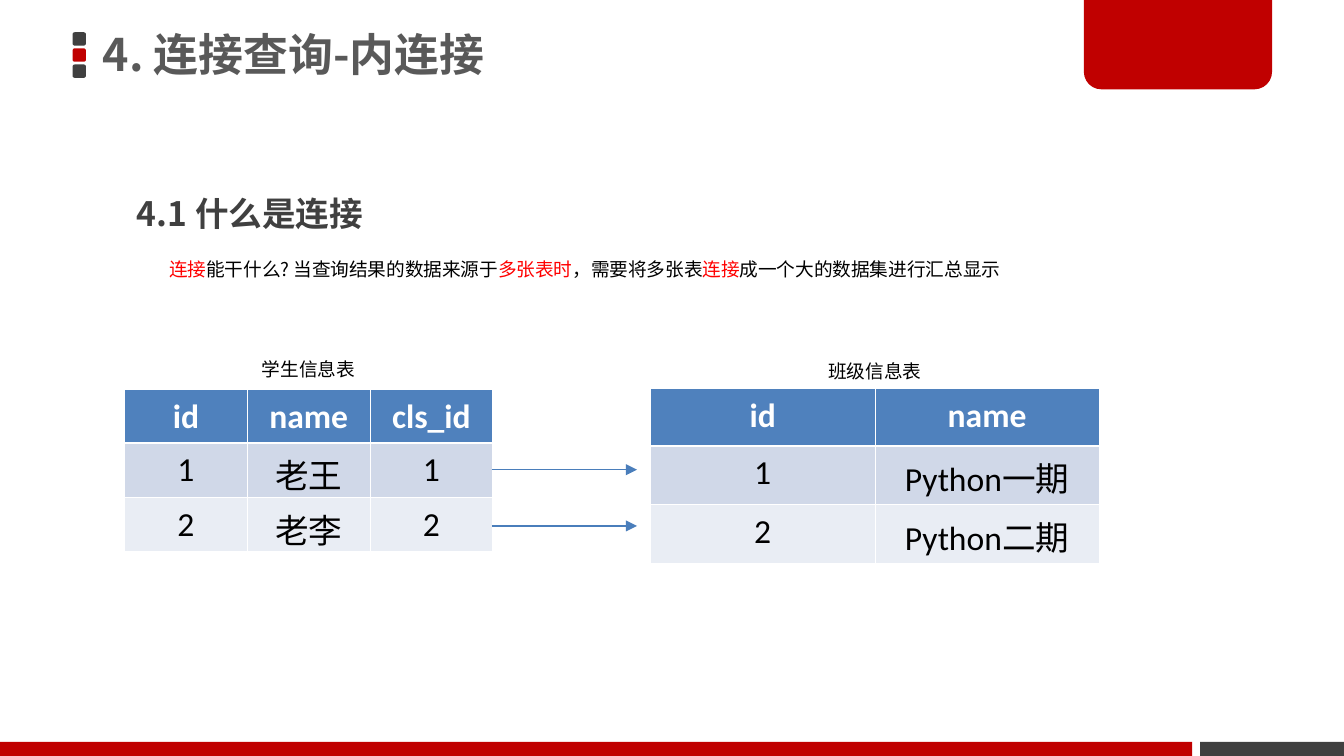
from dataclasses import dataclass

from lxml import etree
from pptx import Presentation
from pptx import util as u
from pptx.dml.color import RGBColor
from pptx.enum import shapes, text
from pptx.oxml import ns


@dataclass(frozen=True)
class Theme:
    red: str = "C00000"
    dark: str = "404040"
    title: str = "595959"
    highlight: str = "FF0000"
    black: str = "000000"
    white: str = "FFFFFF"
    header: str = "4F81BD"
    bands: tuple = ("D0D8E8", "E9EDF4")
    arrow: str = "4A7EBB"
    latin: str = "Calibri"
    cjk: str = "Noto Sans CJK SC"
    title_size: int = 24
    heading_size: int = 18
    body_size: int = 10
    thin: float = 0.45
    thick: float = 1.47


THEME = Theme()
WIDTH, HEIGHT = 100, 56.25  # the slide in grid columns and rows


def grid(*units):
    """Turn grid units (a tenth of an inch) into lengths."""
    return [u.Inches(unit / 10) for unit in units]


def rgb(color):
    return RGBColor.from_string(color)


def write_text(paragraph, content, size, color=THEME.black, font=THEME.latin,
               bold=False, align=None, spacing=None):
    """Write a string, or (string, colour) pairs, as one formatted paragraph."""
    paragraph.alignment = align
    paragraph.line_spacing = spacing
    pairs = [(content, color)] if isinstance(content, str) else content
    for words, run_color in pairs:
        run = paragraph.add_run()
        run.text = words
        run.font.size = u.Pt(size)
        run.font.bold = bold
        run.font.name = font
        run.font.color.rgb = rgb(run_color)
        etree.SubElement(run.font._element, ns.qn("a:ea"), typeface=THEME.cjk)


def add_text(slide, box, content, size, inset=(1, 0.5), wrap=True,
             anchor=text.MSO_ANCHOR.TOP, **text_format):
    frame = slide.shapes.add_textbox(*grid(*box)).text_frame
    frame.word_wrap = wrap
    frame.vertical_anchor = anchor
    frame.margin_left = frame.margin_right = grid(inset[0])[0]
    frame.margin_top = frame.margin_bottom = grid(inset[1])[0]
    write_text(frame.paragraphs[0], content, size, **text_format)


def add_block(slide, kind, box, color, adjustments=()):
    shape = slide.shapes.add_shape(kind, *grid(*box))
    shape.shadow.inherit = False
    shape.fill.solid()
    shape.fill.fore_color.rgb = rgb(color)
    shape.line.fill.background()
    for index, value in enumerate(adjustments):
        shape.adjustments[index] = value


def add_arrow(slide, start, end):
    arrow = slide.shapes.add_connector(shapes.MSO_CONNECTOR.STRAIGHT, *grid(*start, *end))
    arrow.line.color.rgb = rgb(THEME.arrow)
    arrow.line.width = u.Pt(0.75)
    properties = arrow._element.spPr
    etree.SubElement(arrow.line._get_or_add_ln(), ns.qn("a:tailEnd"), type="triangle")
    etree.SubElement(properties, ns.qn("a:effectLst"))


def set_borders(cell, top, bottom):
    """Give a cell white borders; they must precede its fill."""
    widths = {"L": THEME.thin, "R": THEME.thin, "T": top, "B": bottom}
    properties = cell._tc.get_or_add_tcPr()
    for index, (side, width) in enumerate(widths.items()):
        line = etree.Element(ns.qn(f"a:ln{side}"), w=str(u.Pt(width)))
        fill = etree.SubElement(line, ns.qn("a:solidFill"))
        etree.SubElement(fill, ns.qn("a:srgbClr"), val=THEME.white)
        properties.insert(index, line)


def add_data_table(slide, left, top, column_width, row_heights, rows):
    column_count = len(rows[0])
    table = slide.shapes.add_table(
        len(rows), column_count,
        *grid(left, top, column_width * column_count, sum(row_heights))).table
    for column in table.columns:
        column.width = grid(column_width)[0]
    for r, (row, height) in enumerate(zip(rows, row_heights)):
        table.rows[r].height = grid(height)[0]
        is_header = r == 0
        for c, words in enumerate(row):
            cell = table.cell(r, c)
            cell.margin_top, cell.margin_bottom = grid(0.5, 0)
            cell.fill.solid()
            cell.fill.fore_color.rgb = rgb(THEME.header if is_header else THEME.bands[r - 1])
            set_borders(cell,
                        top=THEME.thick if r == 1 else THEME.thin,
                        bottom=THEME.thick if is_header else THEME.thin)
            write_text(cell.text_frame.paragraphs[0], words, THEME.heading_size,
                       color=THEME.white if is_header else THEME.black,
                       bold=is_header, align=text.PP_ALIGN.CENTER)


def add_frame(slide):
    """Draw the title marker, the corner tab and the footer bars."""
    kinds = shapes.MSO_SHAPE
    for index, color in enumerate((THEME.dark, THEME.red, THEME.dark)):
        add_block(slide, kinds.ROUNDED_RECTANGLE, (5.4, 2.4 + 1.2 * index, 1, 1), color, [0.167])
    add_block(slide, kinds.ROUND_2_SAME_RECTANGLE, (80.65, -0.2, 14, 6.85), THEME.red, [0, 0.19])
    footer_top = HEIGHT - 1.05
    add_block(slide, kinds.RECTANGLE, (0, footer_top, 88.7, 1.05), THEME.red)
    add_block(slide, kinds.RECTANGLE, (89.3, footer_top, WIDTH - 89.3, 1.05), THEME.dark)


def main():
    presentation = Presentation()
    presentation.slide_width, presentation.slide_height = grid(WIDTH, HEIGHT)
    slide = presentation.slides.add_slide(presentation.slide_layouts[6])
    add_frame(slide)

    # Title, heading and explanation
    add_text(slide, (6.85, -0.2, 58.9, 8.9), "4. 连接查询-内连接", THEME.title_size,
             inset=(0.8, 0.4), anchor=text.MSO_ANCHOR.MIDDLE,
             color=THEME.title, font=THEME.cjk, bold=True, spacing=0.9)
    add_text(slide, (9.2, 12.35, 38.4, 5.5), "4.1 什么是连接", THEME.heading_size,
             color=THEME.dark, font=THEME.cjk, bold=True, spacing=1.5)
    explanation = [
        ("连接", THEME.highlight),
        ("能干什么? 当查询结果的数据来源于", THEME.black),
        ("多张表时", THEME.highlight),
        ("，需要将多张表", THEME.black),
        ("连接", THEME.highlight),
        ("成一个大的数据集进行汇总显示", THEME.black),
    ]
    add_text(slide, (11.6, 18.7, 64.4, 2.7), explanation, THEME.body_size,
             font=THEME.cjk, spacing=u.Pt(11.8))

    # Tables with their captions
    for left, top, caption in ((18.5, 26.15, "学生信息表"), (60.65, 26.3, "班级信息表")):
        add_text(slide, (left, top, 8.9, 2.7), caption, THEME.body_size,
                 wrap=False, spacing=u.Pt(11.8))
    add_data_table(slide, 9.27, 28.97, 9.13, (4, 4.05, 4.05),
                   [("id", "name", "cls_id"), ("1", "老王", "1"), ("2", "老李", "2")])
    add_data_table(slide, 48.4, 28.9, 16.7, (4.3, 4.35, 4.35),
                   [("id", "name"), ("1", "Python一期"), ("2", "Python二期")])

    # Arrows from each student to the class
    for row in (34.95, 39.13):
        add_arrow(slide, (36.6, row), (47.4, row))

    presentation.save("out.pptx")


if __name__ == "__main__":
    main()
